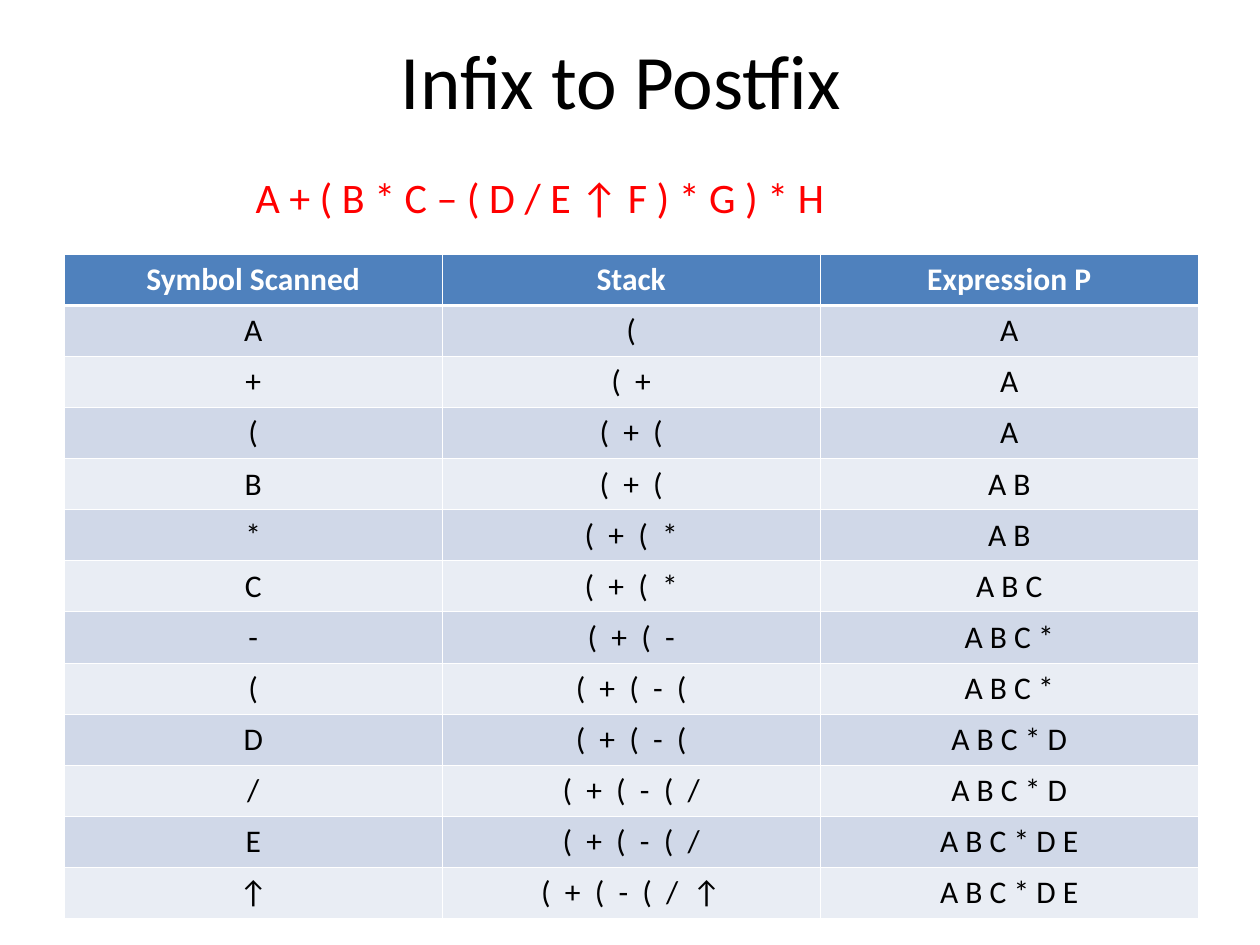
import pptx
import pptx.util
import pptx.dml.color
import pptx.enum.text
import pptx.oxml
import pptx.oxml.ns
from pptx.util import Inches

TITLE = "Infix to Postfix"
EXPRESSION = "A + ( B * C – ( D / E ↑ F ) * G ) * H"
HEADER = ("Symbol Scanned", "Stack", "Expression P")
STEPS = [
    ("A", "(", "A"),
    ("+", "(+", "A"),
    ("(", "(+(", "A"),
    ("B", "(+(", "AB"),
    ("*", "(+(*", "AB"),
    ("C", "(+(*", "ABC"),
    ("-", "(+(-", "ABC*"),
    ("(", "(+(-(", "ABC*"),
    ("D", "(+(-(", "ABC*D"),
    ("/", "(+(-(/", "ABC*D"),
    ("E", "(+(-(/", "ABC*DE"),
    ("↑", "(+(-(/↑", "ABC*DE"),
]
HEAD_FILL = "4F81BD"
BAND_FILLS = ("E9EDF4", "D0D8E8")
THIN, THICK = 0.45, 1.47
CENTER = pptx.enum.text.PP_ALIGN.CENTER
LEFT = pptx.enum.text.PP_ALIGN.LEFT
MIDDLE = pptx.enum.text.MSO_ANCHOR.MIDDLE
TOP = pptx.enum.text.MSO_ANCHOR.TOP


def rgb(color):
    return pptx.dml.color.RGBColor.from_string(color)


def write(tf, text, size, color, align=CENTER, bold=False):
    p = tf.paragraphs[0]
    p.text = text
    p.alignment = align
    p.font.name = "Calibri"
    p.font.size = pptx.util.Pt(size)
    p.font.bold = bold
    p.font.color.rgb = rgb(color)


def add_text(s, box, text, size, color, align, anchor):
    tf = s.shapes.add_textbox(*map(Inches, box)).text_frame
    tf.word_wrap = True
    tf.vertical_anchor = anchor
    write(tf, text, size, color, align)


def set_borders(cell, top, bottom):
    tcPr = cell._tc.get_or_add_tcPr()
    widths = (("lnL", THIN), ("lnR", THIN), ("lnT", top), ("lnB", bottom))
    for i, (tag, width) in enumerate(widths):
        tcPr.insert(i, pptx.oxml.parse_xml(
            f'<a:{tag} {pptx.oxml.ns.nsdecls("a")} w="{pptx.util.Pt(width)}">'
            f'<a:solidFill><a:srgbClr val="FFFFFF"/></a:solidFill></a:{tag}>'))


def add_steps(s):
    rows = [HEADER] + [(symbol, "  ".join(stack), " ".join(output))
                       for symbol, stack, output in STEPS]
    table = s.shapes.add_table(len(rows), len(HEADER), Inches(0.51), Inches(2.02),
                               Inches(9), Inches(5.27)).table
    for r, row in enumerate(rows):
        head = r == 0
        for c, text in enumerate(row):
            cell = table.cell(r, c)
            write(cell.text_frame, text, 18, "FFFFFF" if head else "000000", bold=head)
            cell.fill.solid()
            cell.fill.fore_color.rgb = rgb(HEAD_FILL if head else BAND_FILLS[r % 2])
            set_borders(cell, THICK if r == 1 else THIN, THICK if head else THIN)


def main():
    prs = pptx.Presentation()
    prs.slide_width, prs.slide_height = Inches(10), Inches(7.5)
    s = prs.slides.add_slide(prs.slide_layouts[6])
    add_text(s, (0.43, 0, 9, 1.25), TITLE, 44, "000000", CENTER, MIDDLE)
    add_steps(s)
    add_text(s, (1.93, 1.31, 5.98, 0.5), EXPRESSION, 24, "FF0000", LEFT, TOP)
    prs.save("out.pptx")


if __name__ == "__main__":
    main()
